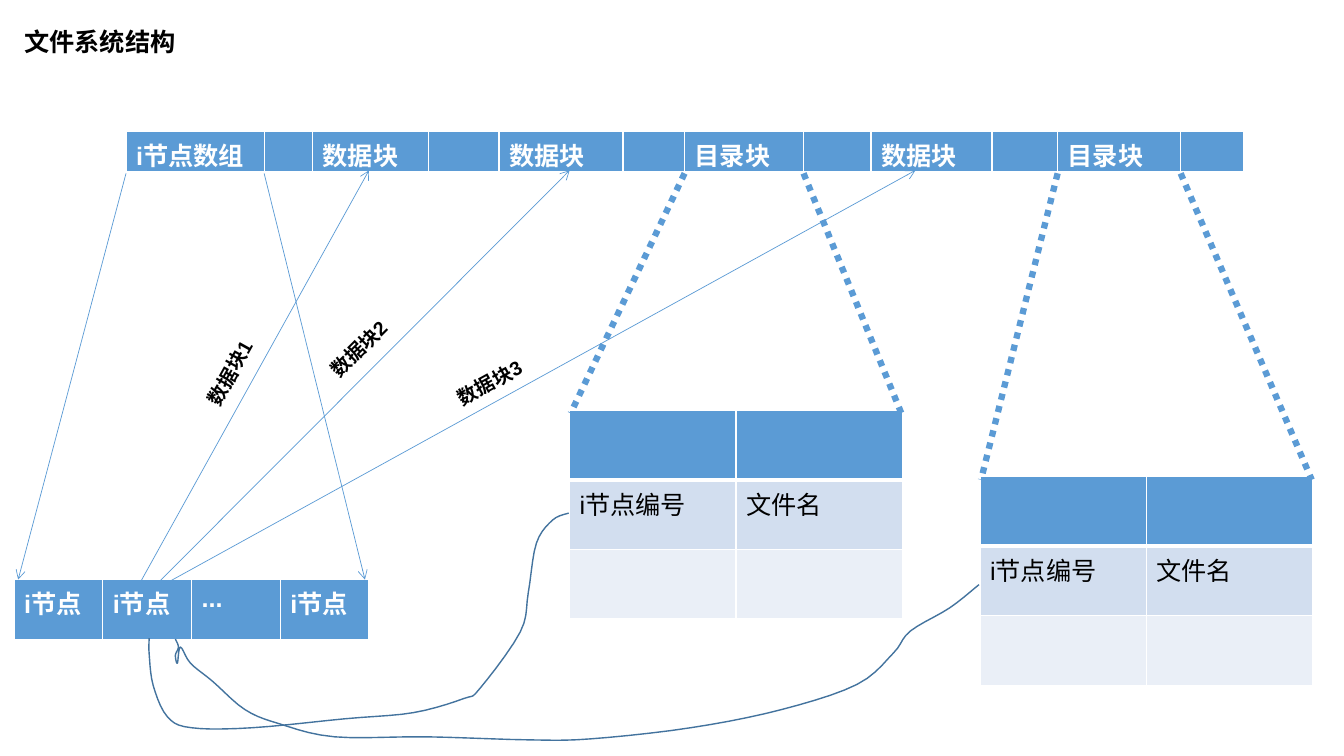
from itertools import accumulate
from math import atan2, degrees

from lxml import etree
from pptx import Presentation
from pptx.dml.color import RGBColor
from pptx.enum.dml import MSO_LINE
from pptx.enum.shapes import MSO_CONNECTOR
from pptx.enum.text import MSO_ANCHOR, MSO_AUTO_SIZE, PP_ALIGN
from pptx.oxml.ns import qn
from pptx.util import Emu, Pt

STRAIGHT = MSO_CONNECTOR.STRAIGHT
DOTS = MSO_LINE.ROUND_DOT
TOP = MSO_ANCHOR.TOP
JUSTIFY = PP_ALIGN.JUSTIFY
NO_FIT = MSO_AUTO_SIZE.NONE

PX = 9144  # one hundredth of an inch
FONT = "Arial"
BLUE, PALE, MIST = "5B9BD5", "D2DEEF", "EAEFF7"
INK, WHITE, BLACK = "43739E", "FFFFFF", "000000"

# Text and width of each block on the disk, and of each node
BLOCKS = [("i节点数组", 137), ("", 48), ("数据块", 115), ("", 70),
          ("数据块", 123), ("", 61), ("目录块", 118), ("", 67),
          ("数据块", 120), ("", 65), ("目录块", 122), ("", 63)]
NODES = [("i节点", 88), ("i节点", 88), ("...", 88), ("i节点", 88)]
ARRAY, FOLDER_1, FOLDER_2 = 0, 6, 10  # places in BLOCKS

# Node to data block: start x, end x, centre of the label
POINTERS = [(139, 366, (237, 354)), (157, 565, (369, 333)),
            (166, 908, (502, 371))]

# Bends of the trails, counted from the left and top of each
TRAIL_1 = [(416, 0), (400, 7), (384, 30), (376, 79), (368, 118), (328, 174),
           (312, 184), (262, 198), (195, 204), (102, 213), (42, 213),
           (18, 202), (4, 171), (0, 140), (0, 124)]
TRAIL_2 = [(797, 0), (768, 23), (729, 46), (712, 68), (676, 99), (601, 124),
           (511, 142), (412, 153), (350, 154), (250, 151), (158, 151),
           (103, 138), (69, 124), (37, 96), (15, 78), (5, 62), (2, 78),
           (0, 70), (3, 62), (0, 54)]


def px(*nums):
    return [Emu(round(n * PX)) for n in nums]


def tint(code):
    return RGBColor.from_string(code)


def style(frame, size, color, bold):
    for para in frame.paragraphs:
        for run in para.runs:
            run.font.name = FONT
            run.font.size = Pt(size)
            run.font.bold = bold
            run.font.color.rgb = tint(color)


def edge(cell, base):
    props = cell._tc.get_or_add_tcPr()
    for side, width in (("L", 1), ("R", 1), ("T", 1), ("B", base)):
        line = etree.SubElement(props, qn("a:ln" + side), w=str(Pt(width)))
        fill = etree.SubElement(line, qn("a:solidFill"))
        etree.SubElement(fill, qn("a:srgbClr"), val=WHITE)


def grid(slide, left, top, cols, high, rows):
    """Each row is (texts, fill, text colour, bold, bottom border)."""
    box = px(left, top, sum(cols), high * len(rows))
    table = slide.shapes.add_table(len(rows), len(cols), *box).table
    for col, wide in zip(table.columns, cols):
        col.width = px(wide)[0]
    for row, (texts, fill, color, bold, base) in zip(table.rows, rows):
        row.height = px(high)[0]
        for cell, text in zip(row.cells, texts):
            edge(cell, base)
            cell.fill.solid()
            cell.fill.fore_color.rgb = tint(fill)
            cell.margin_bottom = 0  # keeps low rows from growing
            cell.text_frame.text = text
            style(cell.text_frame, 18, color, bold)


def link(slide, start, end, width):
    item = slide.shapes.add_connector(STRAIGHT, *px(*start, *end))
    item.line.color.rgb = tint(BLUE)
    item.line.width = Pt(width)
    etree.SubElement(item._element.spPr, qn("a:effectLst"))
    return item


def arrow(slide, start, end):
    line = link(slide, start, end, 0.5).line
    etree.SubElement(line._get_or_add_ln(), qn("a:tailEnd"), type="arrow")


def dotted(slide, start, end):
    link(slide, start, end, 4.5).line.dash_style = DOTS


def heading(slide, left, top, wide, high):
    title = slide.shapes.title
    title.left, title.top, title.width, title.height = px(left, top, wide, high)
    frame = title.text_frame
    frame.text = "文件系统结构"
    frame.vertical_anchor = TOP
    frame.auto_size = NO_FIT
    frame.paragraphs[0].alignment = JUSTIFY
    style(frame, 18, BLACK, True)


def strip(slide, left, top, high, parts):
    """Draw one row of parts; return the x of every column edge."""
    texts, cols = zip(*parts)
    grid(slide, left, top, cols, high, [(texts, BLUE, WHITE, True, 3)])
    return list(accumulate(cols, initial=left))


def folder(slide, left, top):
    """Draw a directory block; return its left and right edge."""
    wide = 165
    rows = [(("", ""), BLUE, WHITE, True, 3),
            (("i节点编号", "文件名"), PALE, BLACK, False, 1),
            (("", ""), MIST, BLACK, False, 1)]
    grid(slide, left, top, [wide, wide], 69, rows)
    return left, left + 2 * wide


def zoom(slide, draw, block, high, part, low, inset):
    """Join both edges of a block to the top corners of its enlarged view."""
    draw(slide, (block[0], high), (part[0] + inset, low))
    draw(slide, (block[1], high), (part[1] - inset, low))


def pointers(slide, high, low):
    """Arrows up from a node, each with a label turned along its slope."""
    wide, tall = 126, 34
    for num, (start, end, (mid_x, mid_y)) in enumerate(POINTERS, 1):
        arrow(slide, (start, low), (end, high))
        box = px(mid_x - wide / 2, mid_y - tall / 2, wide, tall)
        label = slide.shapes.add_textbox(*box)
        label.rotation = 360 - degrees(atan2(low - high, end - start))
        label.text_frame.word_wrap = True
        label.text_frame.text = f"数据块{num}"
        style(label.text_frame, 14, BLACK, True)


def smooth(bends, steps=5):
    """Catmull-Rom curve through all bends, as short segments."""
    ends = [bends[0], *bends, bends[-1]]
    for quad in zip(ends, ends[1:], ends[2:], ends[3:]):
        for step in range(1, steps + 1):
            t = step / steps
            yield tuple(
                b + t * (c - a) / 2 + t ** 2 * (2 * a - 5 * b + 4 * c - d) / 2
                + t ** 3 * (3 * b - a - 3 * c + d) / 2
                for a, b, c, d in zip(*quad))


def trail(slide, left, top, bends):
    first, *rest = [(PX * (left + x), PX * (top + y))
                    for x, y in (bends[0], *smooth(bends))]
    pen = slide.shapes.build_freeform(*first)
    pen.add_line_segments(rest, close=False)
    curve = pen.convert_to_shape()
    curve.shadow.inherit = False
    curve.fill.background()
    curve.line.color.rgb = tint(INK)
    curve.line.width = Pt(1)


def main():
    deck = Presentation()
    deck.slide_width, deck.slide_height = px(1333, 750)
    slide = deck.slides.add_slide(deck.slide_layouts[5])
    heading(slide, 14, 21, 632, 40)

    # Disk blocks, and the node array enlarged below them
    base, node_top = 172, 575
    edges = strip(slide, 125, 130, base - 130, BLOCKS)
    nodes = strip(slide, 14, node_top, 61, NODES)
    array = edges[ARRAY:ARRAY + 2]
    zoom(slide, arrow, array, base, (nodes[0], nodes[-1]), node_top, 4)
    pointers(slide, base - 3, node_top + 3)

    # Directory blocks enlarged, each with a trail back to its node
    for place, left, top, start, bends in (
            (FOLDER_1, 565, 407, (148, 509), TRAIL_1),
            (FOLDER_2, 972, 473, (174, 580), TRAIL_2)):
        part = folder(slide, left, top)
        zoom(slide, dotted, edges[place:place + 2], base, part, top + 3, 1)
        trail(slide, *start, bends)
    deck.save("out.pptx")


if __name__ == "__main__":
    main()
